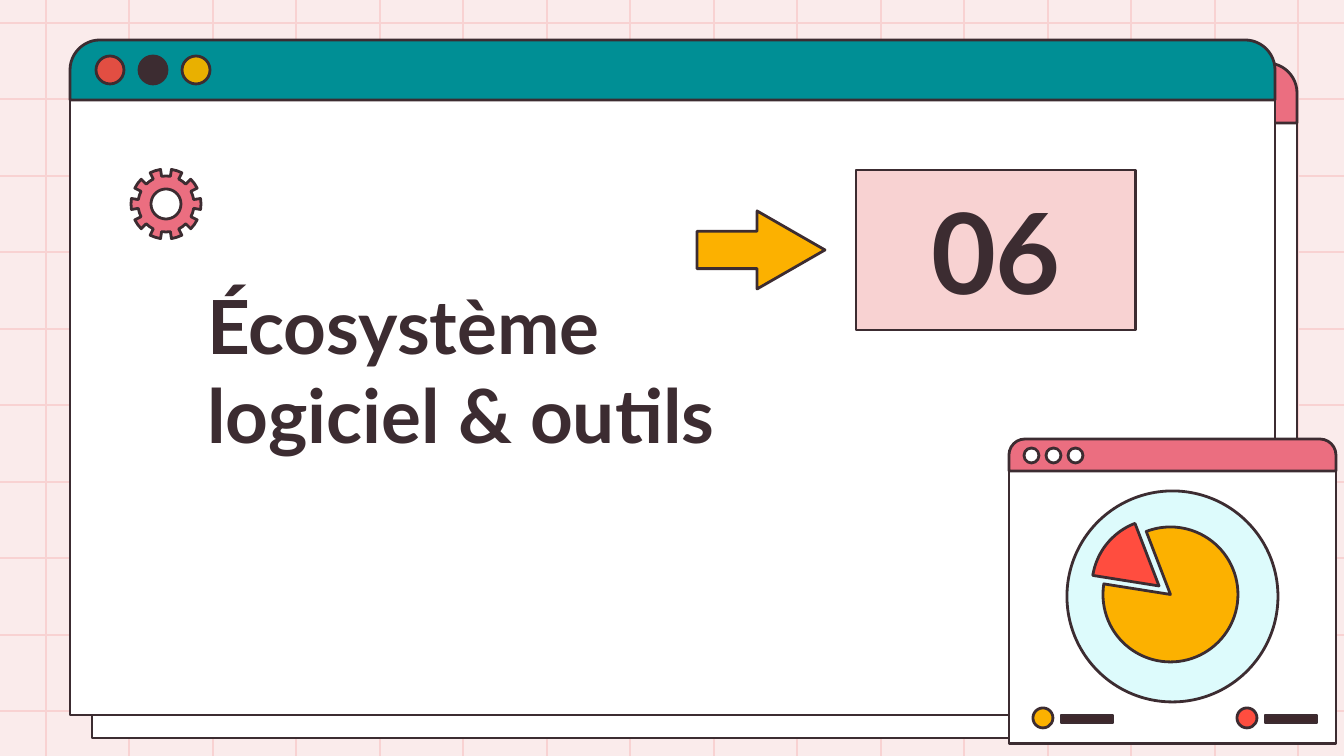
from math import cos, radians, sin

from lxml.etree import SubElement
from pptx import Presentation
from pptx.dml.color import RGBColor
from pptx.enum.shapes import MSO_CONNECTOR as CONN, MSO_SHAPE as SHAPE
from pptx.enum.text import MSO_ANCHOR as ANCHOR, PP_ALIGN as ALIGN
from pptx.oxml.ns import qn
from pptx.util import Pt

PX = 914400 / 134.4
WIDTH, HEIGHT = 1344, 756

BLUSH = RGBColor(0xFA, 0xEB, 0xEB)
PINK = RGBColor(0xF8, 0xD2, 0xD2)
ROSE = RGBColor(0xEB, 0x6E, 0x80)
INK = RGBColor(0x3C, 0x2C, 0x31)
BAR = RGBColor(0x3E, 0x28, 0x2C)
TEAL = RGBColor(0x00, 0x8F, 0x95)
RED = RGBColor(0xE2, 0x4E, 0x42)
CORAL = RGBColor(0xFF, 0x4D, 0x3F)
GOLD = RGBColor(0xE9, 0xB0, 0x00)
AMBER = RGBColor(0xFC, 0xB1, 0x00)
ICE = RGBColor(0xDD, 0xFB, 0xFC)
WHITE = RGBColor(0xFF, 0xFF, 0xFF)


def emu(*lengths):
    return [round(n * PX) for n in lengths]


def polar(cx, cy, radius, degrees):
    a = radians(degrees)
    return cx + radius * cos(a), cy + radius * sin(a)


class Canvas:
    font = "Lato"
    weight = Pt(1.5)

    def __init__(self, slide):
        self.s = slide

    def background(self, color):
        fill = self.s.background.fill
        fill.solid()
        fill.fore_color.rgb = color

    def style(self, sp, fill):
        sp.shadow.inherit = False
        sp.fill.solid()
        sp.fill.fore_color.rgb = fill
        sp.line.color.rgb = INK
        sp.line.width = self.weight
        SubElement(sp._element.spPr.find(qn("a:ln")), qn("a:round"))
        return sp

    def line(self, x1, y1, x2, y2, color):
        c = self.s.shapes.add_connector(CONN.STRAIGHT, *emu(x1, y1, x2, y2))
        c.line.color.rgb = color
        c.line.width = self.weight
        SubElement(c._element.spPr, qn("a:effectLst"))

    def shape(self, kind, x, y, w, h, fill, adjust=()):
        sp = self.s.shapes.add_shape(kind, *emu(x, y, w, h))
        for i, value in enumerate(adjust):
            sp.adjustments[i] = value
        return self.style(sp, fill)

    def circle(self, x, y, size, fill):
        self.shape(SHAPE.OVAL, x, y, size, size, fill)

    def outline(self, contours, fill):
        first, *others = [[emu(*pt) for pt in c] for c in contours]
        fb = self.s.shapes.build_freeform(*first[0], scale=1.0)
        fb.add_line_segments(first[1:], close=True)
        for contour in others:
            fb.move_to(*contour[0])
            fb.add_line_segments(contour[1:], close=True)
        self.style(fb.convert_to_shape(), fill)

    def window(self, x, y, w, bar_h, body_h, bar_fill):
        self.shape(SHAPE.RECTANGLE, x, y + bar_h, w, body_h, WHITE)
        self.shape(SHAPE.ROUND_2_SAME_RECTANGLE, x, y, w, bar_h, bar_fill, (0.5, 0))

    def dots(self, x, y, size, step, fills):
        for i, fill in enumerate(fills):
            self.circle(x + i * step, y, size, fill)

    def label(self, sp, text, size, align, anchor):
        tf = sp.text_frame
        tf.word_wrap = True
        tf.vertical_anchor = anchor
        tf.margin_left = tf.margin_right = tf.margin_top = tf.margin_bottom = Pt(7.2)
        p = tf.paragraphs[0]
        p.alignment = align
        r = p.add_run()
        r.text = text
        r.font.name = self.font
        r.font.size = Pt(size)
        r.font.bold = True
        r.font.color.rgb = INK

    def text(self, x, y, w, h, text, size, align, anchor):
        box = self.s.shapes.add_textbox(*emu(x, y, w, h))
        self.label(box, text, size, align, anchor)

    def gear(self, cx, cy, outer, root, hole, teeth, fill):
        step = 360 / teeth
        profile = [(-9, root), (-9, outer), (0, outer), (9, outer), (9, root), (18, root)]
        rim = [polar(cx, cy, r, i * step + a) for i in range(teeth) for a, r in profile]
        ring = [polar(cx, cy, hole, -a) for a in range(0, 360, 10)]
        self.outline([rim, ring], fill)

    def sector(self, cx, cy, radius, start, end, fill):
        arc = [polar(cx, cy, radius, a) for a in range(start, end + 1)]
        self.outline([[(cx, cy)] + arc], fill)


def main():
    prs = Presentation()
    prs.slide_width, prs.slide_height = emu(WIDTH, HEIGHT)
    c = Canvas(prs.slides.add_slide(prs.slide_layouts[6]))

    c.background(BLUSH)
    for i in range(16):
        x = round(46 + i * 1252 / 15)
        c.line(x, 782, x, -48, PINK)
    for i in range(10):
        y = round(23 + i * 688 / 9)
        c.line(-30, y, 1374, y, PINK)

    c.window(92, 63, 1205, 60, 615, ROSE)
    c.window(70, 40, 1205, 60, 615, TEAL)
    c.dots(96, 56, 28, 43, (RED, INK, GOLD))

    c.text(194, 271, 580, 201, "Écosystème logiciel & outils", 40, ALIGN.LEFT, ANCHOR.BOTTOM)
    number = c.shape(SHAPE.RECTANGLE, 856, 170, 280, 160, PINK)
    c.label(number, "06", 60, ALIGN.CENTER, ANCHOR.MIDDLE)
    c.shape(SHAPE.RIGHT_ARROW, 697, 211, 128, 78, AMBER, (0.48, 0.87))

    c.window(1009, 439, 327, 32, 273, ROSE)
    c.dots(1024, 448, 15, 22, (WHITE,) * 3)
    for x, fill in ((1033, AMBER), (1237, CORAL)):
        c.shape(SHAPE.RECTANGLE, x + 28, 715, 52, 8, BAR)
        c.circle(x, 708, 20, fill)

    start, end = 189, 249
    c.circle(1067, 491, 211, ICE)
    c.shape(SHAPE.PIE, 1103, 527, 135, 135, AMBER, (end * 0.6, start * 0.6))
    c.sector(1159, 586, 67, start, end, CORAL)

    c.gear(166, 204, 35, 28, 15, 10, ROSE)
    prs.save("out.pptx")


if __name__ == "__main__":
    main()
